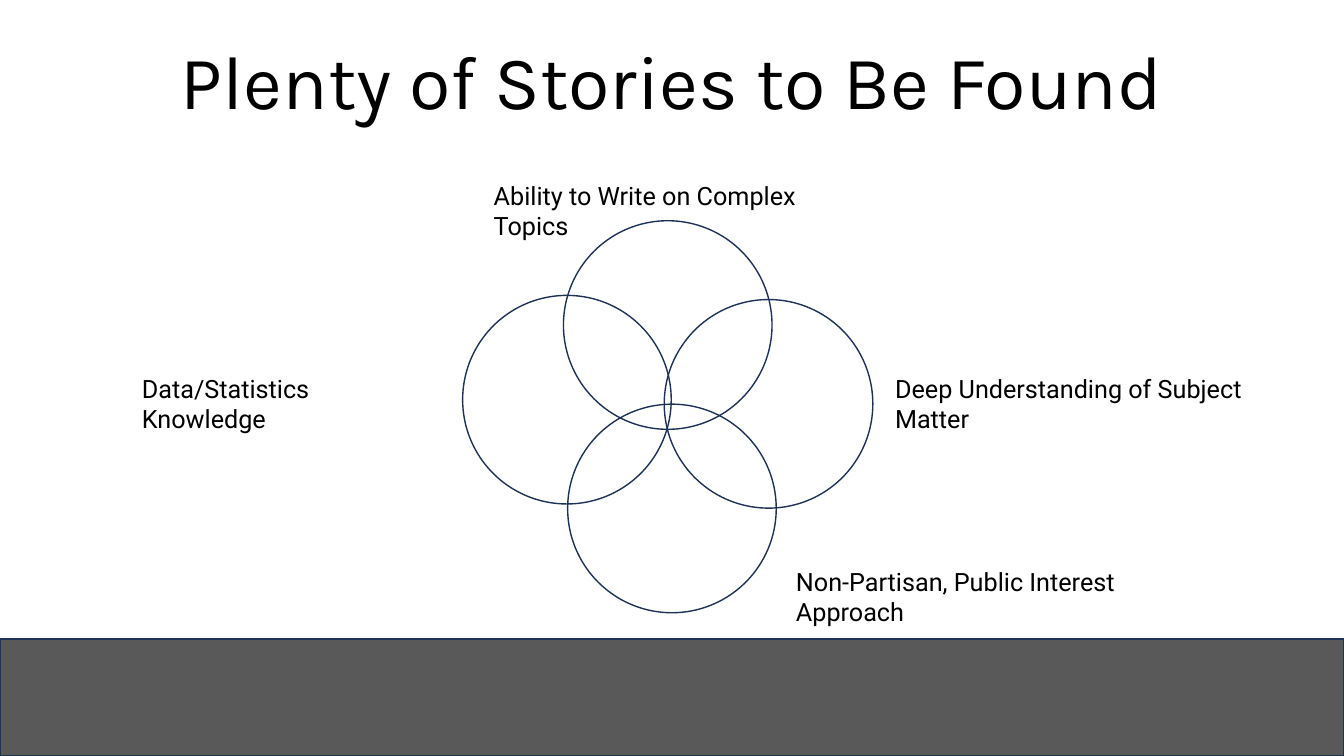
from pptx import Presentation
from pptx.dml.color import RGBColor
from pptx.enum.shapes import MSO_SHAPE
from pptx.enum.text import PP_ALIGN
from pptx.util import Pt

OVAL, RECTANGLE = MSO_SHAPE.OVAL, MSO_SHAPE.RECTANGLE
LEFT, CENTER = PP_ALIGN.LEFT, PP_ALIGN.CENTER

WIDTH, HEIGHT = 960, 540
NAVY, GRAY, BLACK = "1E3256", "595959", "000000"
TITLE = "Plenty of Stories to Be Found"
BAR_TOP = 456.5
DIAMETER = 149
CIRCLES = [(330.5, 211), (474.5, 214), (405.5, 288.7), (402.5, 157.7)]
LABELS = [
    ("Non-Partisan, Public Interest Approach", 561.5, 401, 309.5),
    ("Data/Statistics Knowledge", 94.3, 262.8, 219),
    ("Deep Understanding of Subject Matter", 632.3, 262.8, 308),
    ("Ability to Write on Complex Topics", 345.6, 125.3, 268.5),
]


def color(value):
    return RGBColor.from_string(value)


def add_outlined(kind, left, top, width, height, fill=None):
    shape = page.shapes.add_shape(kind, Pt(left), Pt(top), Pt(width), Pt(height))
    shape.shadow.inherit = False
    if fill:
        shape.fill.solid()
        shape.fill.fore_color.rgb = color(fill)
    else:
        shape.fill.background()
    shape.line.color.rgb = color(NAVY)
    shape.line.width = Pt(1)


def add_text(text, left, top, width, height, font, size, align=LEFT):
    box = page.shapes.add_textbox(Pt(left), Pt(top), Pt(width), Pt(height))
    box.text_frame.word_wrap = True
    box.text_frame.text = text
    para = box.text_frame.paragraphs[0]
    para.alignment = align
    span = para.runs[0]
    span.font.name = font
    span.font.size = Pt(size)
    span.font.color.rgb = color(BLACK)
    return para


deck = Presentation()
deck.slide_width, deck.slide_height = Pt(WIDTH), Pt(HEIGHT)
page = deck.slides.add_slide(deck.slide_layouts[6])

title = add_text(TITLE, 120, 28, 720, 386, "Karla", 54, CENTER)
title.line_spacing = 0.9
title.space_before = Pt(10)

add_outlined(RECTANGLE, 0, BAR_TOP, WIDTH, HEIGHT - BAR_TOP, GRAY)
for left, top in CIRCLES:
    add_outlined(OVAL, left, top, DIAMETER, DIAMETER)
for text, left, top, width in LABELS:
    add_text(text, left, top, width, 29, "Roboto", 18)

deck.save("out.pptx")
